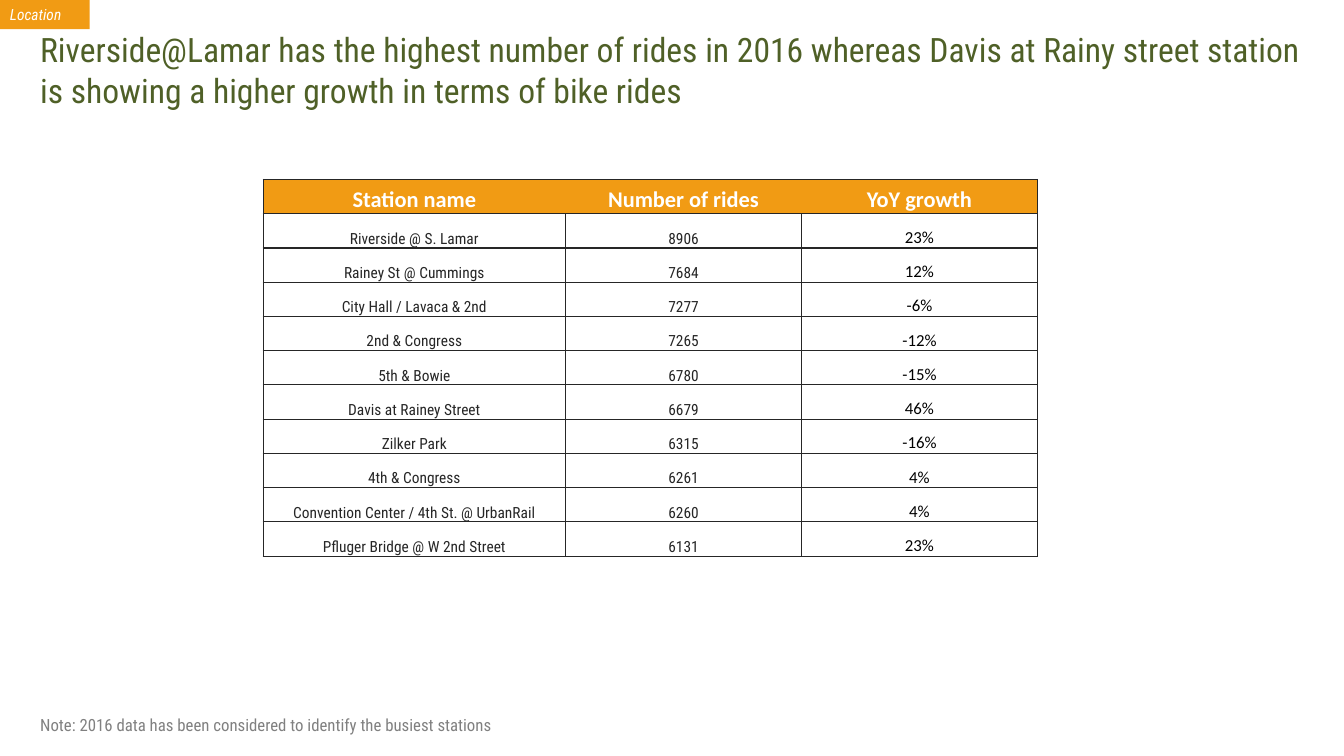
"""Build the slide ranking bike stations by rides and yearly growth."""
from dataclasses import dataclass

from lxml import etree
from pptx import Presentation
from pptx.dml.color import RGBColor
from pptx.enum import shapes, text
from pptx.oxml import ns
from pptx.util import Inches, Pt


@dataclass(frozen=True)
class Theme:
    condensed: str = "Roboto Condensed"
    plain: str = "Calibri"
    orange: str = "F19B14"
    green: str = "4F6027"
    gray: str = "808080"
    ink: str = "262626"
    black: str = "000000"
    white: str = "FFFFFF"
    title_size: int = 24
    header_size: int = 16
    note_size: int = 12
    growth_size: int = 12
    body_size: int = 11
    tag_size: int = 11


theme = Theme()


def write(frame, wording, font, size, color, bold=False, italic=False):
    frame.word_wrap = True
    run = frame.paragraphs[0].add_run()
    run.text = wording
    run.font.name = font
    run.font.size = Pt(size)
    run.font.color.rgb = RGBColor.from_string(color)
    run.font.bold = bold
    run.font.italic = italic


def draw_border(cell, side, visible):
    line = etree.SubElement(cell._tc.get_or_add_tcPr(), ns.qn(f"a:ln{side}"), w=str(Pt(1)))
    if visible:
        fill = etree.SubElement(line, ns.qn("a:solidFill"))
        etree.SubElement(fill, ns.qn("a:srgbClr"), val=theme.ink)
    else:
        etree.SubElement(line, ns.qn("a:noFill"))


deck = Presentation()
deck.slide_width, deck.slide_height = Inches(13.33), Inches(7.5)
slide = deck.slides.add_slide(deck.slide_layouts[6])

headline = slide.shapes.add_textbox(Inches(0.3), Inches(0.24), Inches(12.8), Inches(0.91))
write(headline.text_frame,
      "Riverside@Lamar has the highest number of rides in 2016 whereas Davis at Rainy "
      "street station is showing a higher growth in terms of bike rides",
      theme.condensed, theme.title_size, theme.green)

location = slide.shapes.add_shape(shapes.MSO_SHAPE.RECTANGLE, 0, 0, Inches(0.89), Inches(0.29))
location.shadow.inherit = False
location.fill.solid()
location.fill.fore_color.rgb = RGBColor.from_string(theme.orange)
location.line.fill.background()
location.text_frame.vertical_anchor = text.MSO_ANCHOR.MIDDLE
location.text_frame.paragraphs[0].alignment = text.PP_ALIGN.LEFT
write(location.text_frame, "Location", theme.condensed, theme.tag_size, theme.white, italic=True)

note = slide.shapes.add_textbox(Inches(0.3), Inches(7.04), Inches(12.8), Inches(0.3))
write(note.text_frame, "Note: 2016 data has been considered to identify the busiest stations",
      theme.condensed, theme.note_size, theme.gray)

stations = [
    ("Station name", "Number of rides", "YoY growth"),
    ("Riverside @ S. Lamar", "8906", "23%"),
    ("Rainey St @ Cummings", "7684", "12%"),
    ("City Hall / Lavaca & 2nd", "7277", "-6%"),
    ("2nd & Congress", "7265", "-12%"),
    ("5th & Bowie", "6780", "-15%"),
    ("Davis at Rainey Street", "6679", "46%"),
    ("Zilker Park", "6315", "-16%"),
    ("4th & Congress", "6261", "4%"),
    ("Convention Center / 4th St. @ UrbanRail", "6260", "4%"),
    ("Pfluger Bridge @ W 2nd Street", "6131", "23%"),
]
column_widths = [3, 2.34, 2.34]
last_column = len(column_widths) - 1
ranking = slide.shapes.add_table(len(stations), len(column_widths), Inches(2.61), Inches(1.78),
                                 Inches(sum(column_widths)), Inches(3.74)).table
ranking.horz_banding = False
for column, width in zip(ranking.columns, column_widths):
    column.width = Inches(width)

header_style = (theme.plain, theme.header_size, theme.white, True)
station_style = (theme.condensed, theme.body_size, theme.ink)
growth_style = (theme.plain, theme.growth_size, theme.black)

for row, station in enumerate(stations):
    ranking.rows[row].height = Inches(0.34)
    for column, wording in enumerate(station):
        cell = ranking.cell(row, column)
        cell.margin_left = cell.margin_right = cell.margin_top = Inches(0.01)
        cell.margin_bottom = 0
        cell.vertical_anchor = text.MSO_ANCHOR.BOTTOM
        draw_border(cell, "L", row > 0 or column == 0)
        draw_border(cell, "R", row > 0 or column == last_column)
        draw_border(cell, "T", True)
        draw_border(cell, "B", True)
        cell.fill.solid()
        cell.fill.fore_color.rgb = RGBColor.from_string(theme.white if row else theme.orange)
        cell.text_frame.paragraphs[0].alignment = text.PP_ALIGN.CENTER
        body_style = growth_style if column == last_column else station_style
        write(cell.text_frame, wording, *(body_style if row else header_style))

deck.save("out.pptx")
